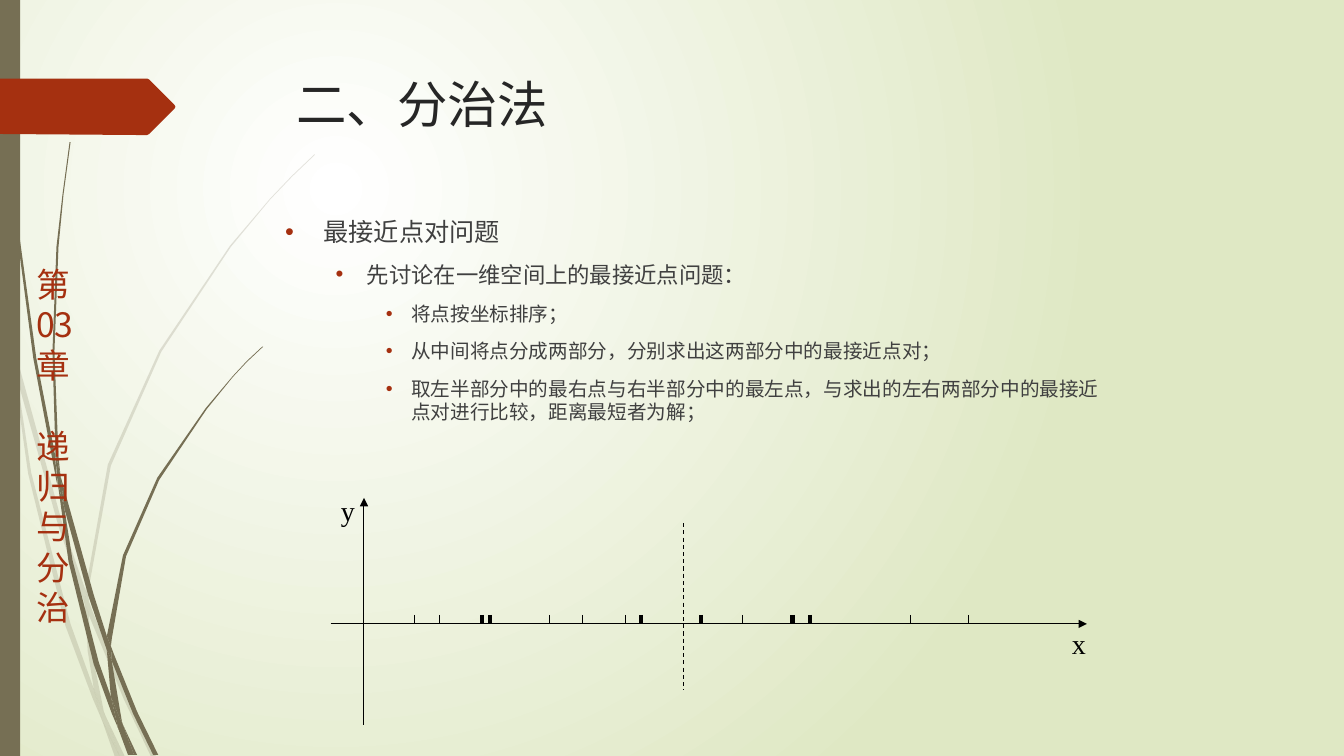
from lxml import etree
from pptx import Presentation
from pptx.dml.color import RGBColor
from pptx.enum.dml import MSO_LINE
from pptx.enum.shapes import MSO_CONNECTOR, MSO_SHAPE
from pptx.enum.text import PP_ALIGN
from pptx.oxml.ns import qn
from pptx.util import Inches, Pt

STRAIGHT = MSO_CONNECTOR.STRAIGHT
RECTANGLE = MSO_SHAPE.RECTANGLE
DASH = MSO_LINE.DASH
CENTER = PP_ALIGN.CENTER

THEME = {
    "olive": "766F54", "red": "A53010", "title": "262626", "body": "404040",
    "ink": "000000", "glow": "FFFFFF", "edge": "DFE8C4",
    "title_size": 36, "chapter_size": 24, "label_size": 20,
    "level_sizes": (18, 16, 14),
    "heading_font": "TeX Gyre Adventor", "chapter_font": "Noto Sans CJK JP",
    "label_font": "Times New Roman",
}

TITLE = "二、分治法"
CHAPTER = ["第", "03", "章", "递", "归", "与", "分", "治"]
PART_START = "递"
POINTS = [
    (0, "最接近点对问题"),
    (1, "先讨论在一维空间上的最接近点问题："),
    (2, "将点按坐标排序；"),
    (2, "从中间将点分成两部分，分别求出这两部分中的最接近点对；"),
    (2, "取左半部分中的最右点与右半部分中的最左点，与求出的左右两部分中的最接近点对进行比较，距离最短者为解；"),
]
LEVEL_INDENTS = [(0.38, -0.38), (0.81, -0.31), (1.25, -0.25)]

AXIS_Y = 6.19
TICK_TOP = 6.1
THIN_TICKS = [4.11, 4.36, 5.45, 5.78, 6.2, 7.36, 9.03, 9.61]
THICK_TICKS = [4.78, 4.86, 6.36, 6.95, 7.86, 8.03]
AXES = [((3.28, AXIS_Y), (10.78, AXIS_Y)), ((3.61, 7.19), (3.61, 4.94))]
DIVIDER = ((6.78, 5.19), (6.78, 6.85))
AXIS_LABELS = [("x", 10.53, 6.17), ("y", 3.28, 4.85)]

# Outlines are in hundredths of an inch.
PALE_STEMS = [
    [(11, 350), (9, 322), (0, 282), (0, 299), (10, 344)],
    [(58, 522), (84, 599), (85, 586), (62, 520), (14, 345), (17, 376)],
    [(92, 607), (88, 596), (88, 610), (123, 694), (150, 751), (155, 751), (127, 692)],
    [(119, 751), (124, 751), (105, 711)],
    [(93, 683), (70, 619), (31, 469), (17, 376), (11, 350), (28, 470), (65, 621),
     (92, 693), (101, 714), (99, 707)],
    [(84, 599), (87, 646), (93, 683), (96, 692), (105, 711), (103, 706), (91, 646),
     (88, 610), (88, 608)],
    [(88, 584), (110, 462), (160, 349), (229, 245), (268, 198), (290, 175), (312, 154),
     (312, 153), (289, 175), (268, 197), (228, 244), (158, 348), (107, 461), (85, 584),
     (85, 586), (88, 596)],
    [(101, 714), (114, 751), (119, 751)],
    [(88, 608), (88, 610), (88, 596), (85, 586), (84, 599)],
    [(96, 692), (93, 683), (99, 707), (101, 714), (119, 751), (105, 711)],
]
DARK_STEMS = [
    [(7, 110), (17, 233), (33, 355), (56, 477), (57, 481), (55, 457), (55, 453), (36, 355),
     (19, 232), (8, 109), (5, 48), (4, 0), (3, 0), (4, 48)],
    [(88, 592), (106, 645), (106, 633), (106, 631), (93, 590), (60, 472), (64, 505)],
    [(113, 649), (110, 641), (111, 656), (132, 708), (152, 749), (157, 749), (136, 706)],
    [(110, 691), (98, 657), (72, 556), (64, 505), (57, 477), (68, 557), (93, 659),
     (111, 708), (117, 722), (116, 717)],
    [(60, 472), (58, 453), (54, 349), (58, 245), (63, 193), (70, 141), (69, 141), (62, 193),
     (56, 245), (52, 349), (55, 449)],
    [(133, 749), (136, 749), (122, 719)],
    [(57, 477), (64, 505), (60, 472), (55, 449), (55, 453)],
    [(111, 633), (125, 552), (158, 476), (205, 406), (231, 374), (245, 359), (261, 344),
     (260, 344), (245, 358), (231, 373), (204, 405), (156, 474), (122, 551), (106, 631),
     (110, 641)],
    [(117, 722), (127, 749), (131, 749)],
    [(106, 645), (110, 691), (116, 706), (122, 719), (121, 716), (111, 656), (109, 651)],
    [(106, 645), (109, 651), (111, 656), (110, 641), (106, 631), (106, 633)],
    [(116, 706), (110, 691), (116, 717), (117, 722), (130, 749), (133, 749), (122, 719)],
]
ARROW_TAG = [(0, 78), (146, 78), (148, 79), (173, 104), (174, 106), (173, 108),
             (148, 133), (146, 134), (136, 134), (0, 133)]


def color(name):
    return RGBColor.from_string(THEME[name])


def paint(shape, name):
    shape.shadow.inherit = False
    shape.fill.solid()
    shape.fill.fore_color.rgb = color(name)
    shape.line.fill.background()


def add_outline(shapes, outline, name, alpha=None):
    builder = shapes.build_freeform(*outline[0], scale=Inches(0.01))
    builder.add_line_segments(outline[1:], close=True)
    shape = builder.convert_to_shape()
    paint(shape, name)
    if alpha:
        tint = next(shape.element.iter(qn("a:srgbClr")))
        etree.SubElement(tint, qn("a:alpha"), val=str(alpha * 1000))


def add_line(shapes, ends, width=0.75, arrow=False, dash=None):
    start, finish = ends
    connector = shapes.add_connector(STRAIGHT, *map(Inches, start + finish))
    connector.line.color.rgb = color("ink")
    connector.line.width = Pt(width)
    if dash:
        connector.line.dash_style = dash
    if arrow:
        outline = next(connector.element.iter(qn("a:ln")))
        etree.SubElement(outline, qn("a:tailEnd"), type="triangle")
    etree.SubElement(connector.element.spPr, qn("a:effectLst"))


def add_text(shapes, place, lines, size, font, name, wrap=True):
    box = shapes.add_textbox(*map(Inches, place))
    box.text_frame.word_wrap = wrap
    box.text_frame.text = "\n".join(lines)
    for para in box.text_frame.paragraphs:
        for span in para.runs:
            span.font.size = Pt(size)
            span.font.name = THEME[font]
            span.font.color.rgb = color(name)
    return box.text_frame.paragraphs


def add_bullet(para, level):
    para.level = level
    margin, indent = LEVEL_INDENTS[level]
    props = para._p.get_or_add_pPr()
    props.set("marL", str(Inches(margin)))
    props.set("indent", str(Inches(indent)))
    tint = etree.SubElement(props, qn("a:buClr"))
    etree.SubElement(tint, qn("a:srgbClr"), val=THEME["red"])
    etree.SubElement(props, qn("a:buFont"), typeface="Arial")
    etree.SubElement(props, qn("a:buChar"), char="•")


def add_background(page):
    fill = page.background.fill
    fill.gradient()
    for stop, name in zip(fill.gradient_stops, ("glow", "edge")):
        stop.color.rgb = color(name)
    linear = next(page.element.iter(qn("a:lin")))
    radial = etree.Element(qn("a:path"), path="circle")
    etree.SubElement(radial, qn("a:fillToRect"), l="50000", t="50000", r="100000", b="100000")
    linear.getparent().replace(linear, radial)


def main():
    deck = Presentation()
    deck.slide_width, deck.slide_height = Inches(13.33), Inches(7.5)
    page = deck.slides.add_slide(deck.slide_layouts[6])
    add_background(page)

    for stems, alpha in ((PALE_STEMS, 20), (DARK_STEMS, None)):
        plant = page.shapes.add_group_shape()
        for outline in stems:
            add_outline(plant.shapes, outline, "olive", alpha)
    paint(page.shapes.add_shape(RECTANGLE, 0, 0, Inches(0.2), deck.slide_height), "olive")

    chapter = add_text(page.shapes, (0.26, 2.57, 0.59, 3.74), CHAPTER,
                       THEME["chapter_size"], "chapter_font", "red", wrap=False)
    chapter[CHAPTER.index(PART_START)].space_before = Pt(29)
    add_outline(page.shapes, ARROW_TAG, "red")

    add_text(page.shapes, (2.84, 0.68, 9.75, 1.4), [TITLE],
             THEME["title_size"], "heading_font", "title")
    body = add_text(page.shapes, (2.73, 2.1, 8.43, 2.91), [text for _, text in POINTS],
                    THEME["level_sizes"][0], "heading_font", "body")
    for index, (para, (level, _)) in enumerate(zip(body, POINTS)):
        para.space_before = Pt(10 if index else 0)
        para.runs[0].font.size = Pt(THEME["level_sizes"][level])
        add_bullet(para, level)

    diagram = page.shapes.add_group_shape().shapes
    for ends in AXES:
        add_line(diagram, ends, arrow=True)
    for ticks, width in ((THIN_TICKS, 0.75), (THICK_TICKS, 3)):
        for x in ticks:
            add_line(diagram, ((x, TICK_TOP), (x, AXIS_Y)), width)
    add_line(diagram, DIVIDER, dash=DASH)
    for label, left, top in AXIS_LABELS:
        paras = add_text(diagram, (left, top, 0.34, 0.43), [label],
                         THEME["label_size"], "label_font", "ink", wrap=False)
        paras[0].alignment = CENTER

    deck.save("out.pptx")


if __name__ == "__main__":
    main()
